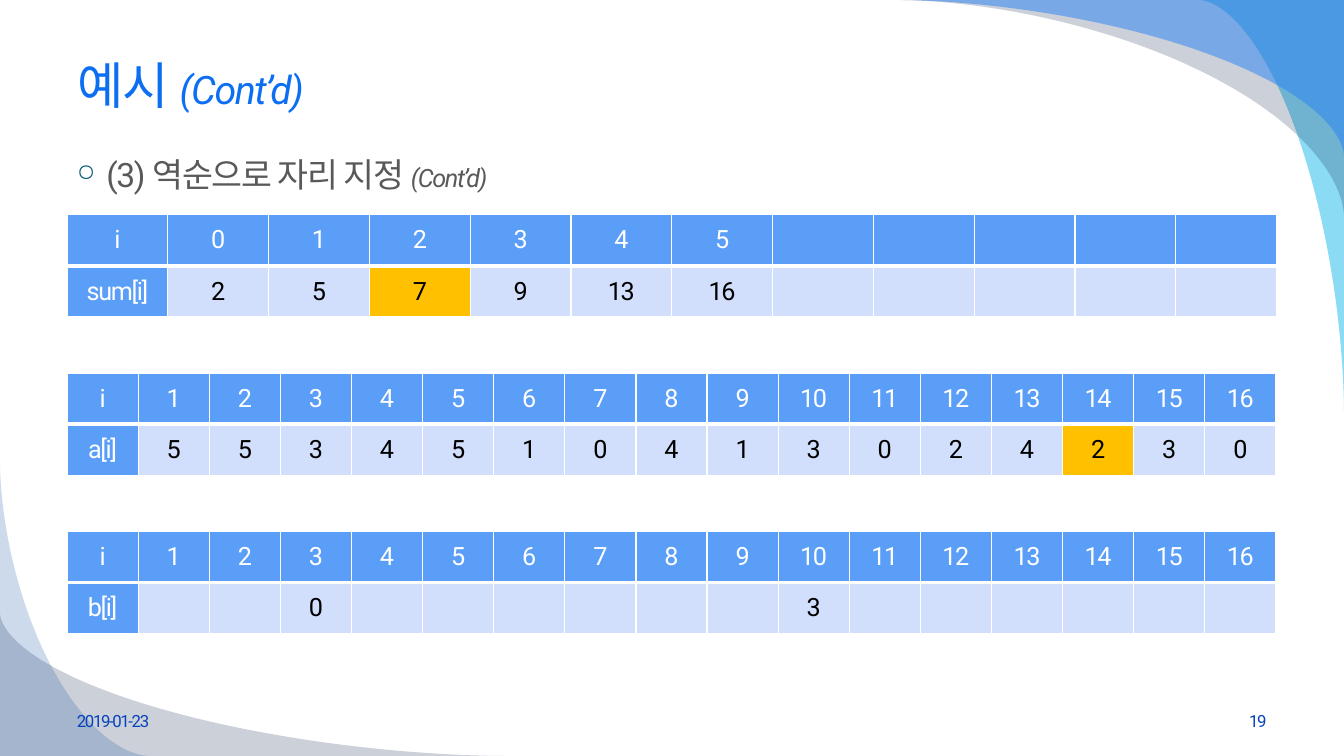
"""Build the counting sort example slide with its three index tables."""
import math
from lxml import etree
from pptx import Presentation
from pptx.dml.color import RGBColor
from pptx.enum.text import MSO_ANCHOR, MSO_AUTO_SIZE, PP_ALIGN
from pptx.oxml.ns import qn
from pptx.util import Cm, Pt

LEFT, CENTER, RIGHT = PP_ALIGN.LEFT, PP_ALIGN.CENTER, PP_ALIGN.RIGHT
TOP, MIDDLE = MSO_ANCHOR.TOP, MSO_ANCHOR.MIDDLE
NO_FIT = MSO_AUTO_SIZE.NONE

FONT = "Roboto"
COLORS = {
    "title": "0C6FF2", "body": "595959", "bullet": "005876", "footer": "0743BC",
    "header": "5B9EF7", "cell": "D2DFFC", "mark": "FFC000",
    "white": "FFFFFF", "black": "000000",
    "cyan": "00B1E9", "navy": "021741", "blue": "247FF4", "deep": "084AA1",
}
TITLE = [("예시 ", 36, False), ("(Cont’d)", 28, True)]
BODY = [("(3) 역순으로 자리 지정 ", 24, False), ("(Cont’d)", 18, True)]
DATE = [("2019-01-23", 12, False)]
NUMBER = [("19", 12, False)]

SUM_INDEX = [*range(6)] + [""] * 5
INDEX = [*range(1, 17)]
TABLES = [
    {"top": 5.41, "name": "sum[i]", "index": SUM_INDEX,
     "values": {0: 2, 1: 5, 2: 7, 3: 9, 4: 13, 5: 16}, "mark": 2},
    {"top": 9.4, "name": "a[i]", "index": INDEX,
     "values": dict(zip(INDEX, [5, 5, 3, 4, 5, 1, 0, 4, 1, 3, 0, 2, 4, 2, 3, 0])),
     "mark": 14},
    {"top": 13.39, "name": "b[i]", "index": INDEX,
     "values": {3: 0, 10: 3}, "mark": None},
]

WIDTH, HEIGHT = 33.87, 19.05
MARGIN, CONTENT_W = 1.69, 30.48
ROW_H = 1.29
RIBBONS = [
    ((WIDTH, 0), (-3.66, 10.36), "cyan", 45),
    ((WIDTH, 0), (-11.28, 5.46), "navy", 20),
    ((WIDTH, 0), (-11.28, 3.94), "blue", 49),
    ((0, HEIGHT), (12.7, -3.61), "navy", 20),
    ((0, HEIGHT), (3.76, -7.42), "deep", 20),
]
CURVE_POWER, CURVE_STEPS = 1.77, 60


def rgb(name):
    return RGBColor.from_string(COLORS[name])


def add_ribbon(s, corner, reach, color, opacity):
    (x, y), (dx, dy) = corner, reach
    points = []
    for i in range(CURVE_STEPS + 1):
        angle = math.pi / 2 * i / CURVE_STEPS
        across = abs(math.sin(angle)) ** (2 / CURVE_POWER)
        along = abs(math.cos(angle)) ** (2 / CURVE_POWER)
        points.append((Cm(x + dx * (1 - across)), Cm(y + dy * (1 - along))))
    builder = s.shapes.build_freeform(Cm(x), Cm(y))
    builder.add_line_segments(points, close=True)
    sp = builder.convert_to_shape()
    sp.shadow.inherit = False
    sp.line.fill.background()
    sp.fill.solid()
    sp.fill.fore_color.rgb = rgb(color)
    fill_color = sp.fill._xPr.find(qn("a:solidFill"))[0]
    etree.SubElement(fill_color, qn("a:alpha"), val=str(opacity * 1000))


def style_run(r, size, color, italic=False):
    r.font.name = FONT
    r.font.size = Pt(size)
    r.font.italic = italic
    r.font.color.rgb = rgb(color)
    rPr = r._r.get_or_add_rPr()
    rPr.set("spc", "-100")
    rPr.find(qn("a:latin")).addnext(
        etree.Element(qn("a:ea"), typeface=FONT))


def fill_text(sp, runs, color, align=LEFT, anchor=MIDDLE):
    tf = sp.text_frame
    tf.word_wrap = True
    tf.auto_size = NO_FIT
    tf.vertical_anchor = anchor
    p = tf.paragraphs[0]
    p.alignment = align
    for text, size, italic in runs:
        r = p.add_run()
        r.text = text
        style_run(r, size, color, italic)
    return p


def add_text(s, box, runs, color, **layout):
    sp = s.shapes.add_textbox(*map(Cm, box))
    return fill_text(sp, runs, color, **layout)


def add_bullet(p):
    pPr = p._p.get_or_add_pPr()
    pPr.set("marL", str(Cm(0.74)))
    pPr.set("indent", str(Cm(-0.74)))
    color = etree.SubElement(pPr, qn("a:buClr"))
    etree.SubElement(color, qn("a:srgbClr"), val=COLORS["bullet"])
    etree.SubElement(pPr, qn("a:buSzPct"), val="70000")
    etree.SubElement(pPr, qn("a:buChar"), char="○")


def style_cell(cell, text, color, fill, borders):
    cell.vertical_anchor = MIDDLE
    tcPr = cell._tc.get_or_add_tcPr()
    for side, width in borders.items():
        ln = etree.SubElement(tcPr, qn(f"a:ln{side}"), w=str(Pt(width)))
        solid = etree.SubElement(ln, qn("a:solidFill"))
        etree.SubElement(solid, qn("a:srgbClr"), val=COLORS["white"])
    cell.fill.solid()
    cell.fill.fore_color.rgb = rgb(fill)
    cell.text_frame.text = str(text)
    p = cell.text_frame.paragraphs[0]
    p.alignment = CENTER
    for r in p.runs:
        style_run(r, 18, color)


def add_index_table(s, top, name, index, values, mark):
    cols = len(index) + 1
    table = s.shapes.add_table(2, cols, Cm(MARGIN), Cm(top),
                               Cm(CONTENT_W), Cm(2 * ROW_H)).table
    for column in table.columns:
        column.width = Cm(CONTENT_W / cols)
    rows = [["i", *index], [name, *(values.get(i, "") for i in index)]]
    for row, texts in enumerate(rows):
        borders = {"L": 1, "R": 1, "T": 3 if row else 1, "B": 1 if row else 3}
        for col, text in enumerate(texts):
            heading = row == 0 or col == 0
            marked = not heading and mark is not None and index[col - 1] == mark
            fill = "header" if heading else "mark" if marked else "cell"
            color = "white" if heading else "black"
            style_cell(table.cell(row, col), text, color, fill, borders)


def main():
    prs = Presentation()
    prs.slide_width, prs.slide_height = Cm(WIDTH), Cm(HEIGHT)
    s = prs.slides.add_slide(prs.slide_layouts[5])
    for ribbon in RIBBONS:
        add_ribbon(s, *ribbon)

    title = s.shapes.title
    title.left, title.top = Cm(MARGIN), Cm(0.84)
    title.width, title.height = Cm(CONTENT_W), Cm(2.57)
    fill_text(title, TITLE, "title")

    p = add_text(s, (MARGIN, 3.76, CONTENT_W, 13.26), BODY, "body", anchor=TOP)
    add_bullet(p)
    footer_w = 7.9
    add_text(s, (MARGIN, 17.65, footer_w, 1.02), DATE, "footer")
    add_text(s, (MARGIN + CONTENT_W - footer_w, 17.65, footer_w, 1.02),
             NUMBER, "footer", align=RIGHT)

    for table in TABLES:
        add_index_table(s, **table)
    prs.save("out.pptx")


if __name__ == "__main__":
    main()
